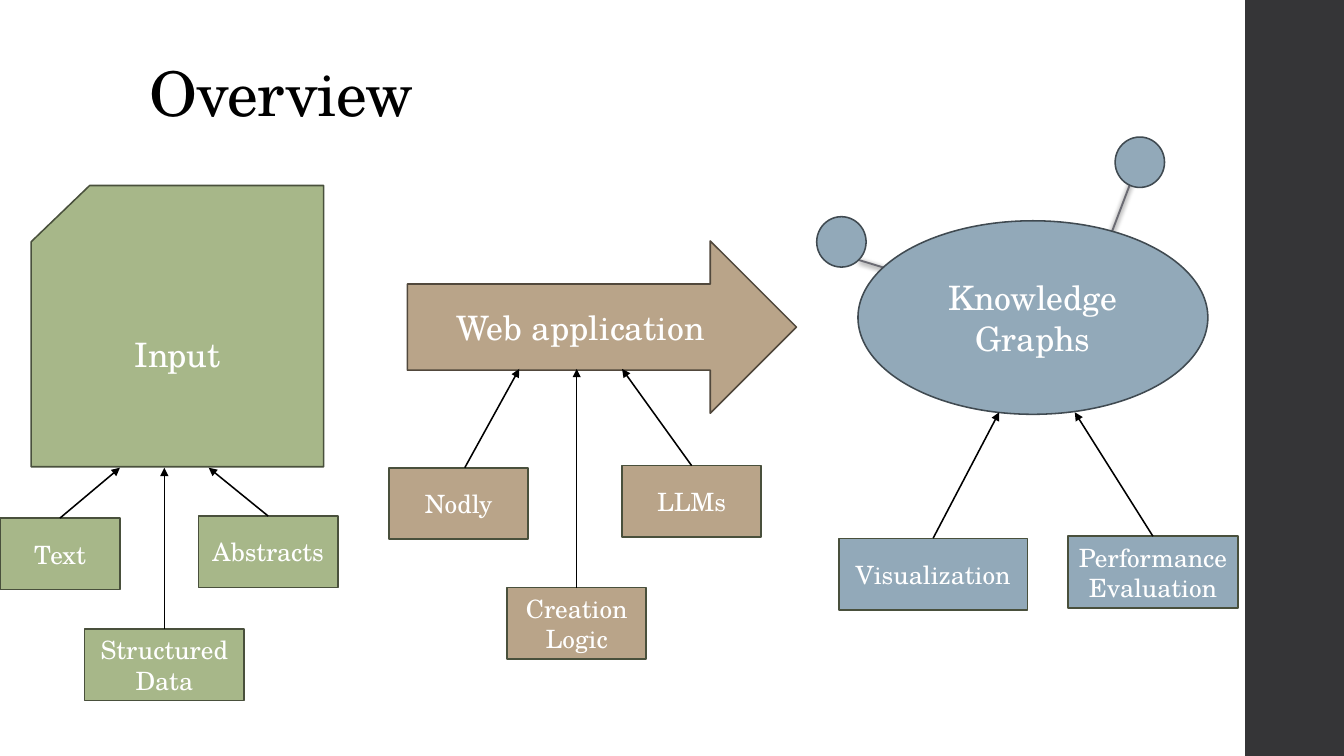
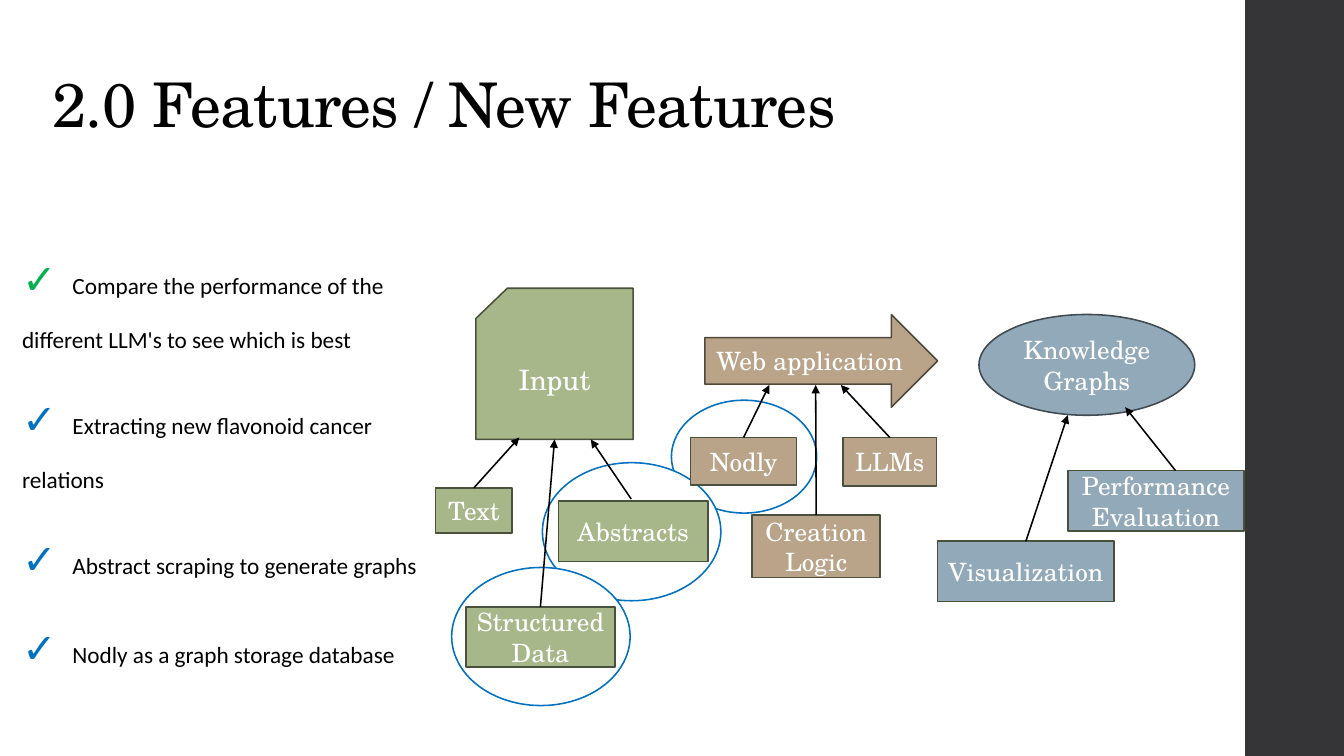
from dataclasses import dataclass
from typing import Optional

from lxml.etree import SubElement
from pptx import Presentation
from pptx.dml.color import RGBColor
from pptx.enum.shapes import MSO_CONNECTOR as CONN, MSO_SHAPE as SHAPE
from pptx.enum.text import MSO_ANCHOR as ANCHOR, PP_ALIGN as ALIGN
from pptx.oxml.ns import qn
from pptx.util import Inches, Pt

# Shared style
SERIF, SANS = "TeX Gyre Schola", "Calibri"
WHITE = RGBColor(0xFF, 0xFF, 0xFF)
BLACK = RGBColor(0x00, 0x00, 0x00)
BAND = RGBColor(0x35, 0x35, 0x37)
GREEN = RGBColor(0xA7, 0xB7, 0x89)
GREEN_EDGE = RGBColor(0x49, 0x50, 0x3C)
TAN = RGBColor(0xB9, 0xA4, 0x89)
TAN_EDGE = RGBColor(0x51, 0x48, 0x3C)
BLUE = RGBColor(0x92, 0xA9, 0xB9)
BLUE_EDGE = RGBColor(0x40, 0x4A, 0x51)
LINK_GREY = RGBColor(0x6B, 0x6B, 0x73)
RING_BLUE = RGBColor(0x00, 0x70, 0xC0)
TICK_GREEN = RGBColor(0x00, 0xB0, 0x50)
LINE_W = 1.1
BOX_PT = 18
TOP, BOTTOM = 0, 2  # connection sites

Point = tuple[float, float]
Area = tuple[float, float, float, float]


@dataclass
class Box:
    """A small box whose arrow points at its stage."""
    label: str
    area: Area
    tip: Optional[Point] = None    # None: middle of the stage's lower side
    start: Optional[Point] = None  # None: middle of the box's upper side


@dataclass
class Kind:
    shape: SHAPE
    label: str
    fill: RGBColor
    edge: RGBColor


@dataclass
class Stage:
    kind: Kind
    area: Area
    size: int
    boxes: list[Box]


INPUT = Kind(SHAPE.FLOWCHART_CARD, "Input", GREEN, GREEN_EDGE)
WEB_APP = Kind(SHAPE.RIGHT_ARROW, "Web application", TAN, TAN_EDGE)
GRAPHS = Kind(SHAPE.OVAL, "Knowledge Graphs", BLUE, BLUE_EDGE)

# Slide 1 content
OVERVIEW = [
    Stage(WEB_APP, (4.04, 2.39, 3.86, 1.71), 24, [
        Box("Nodly", (3.86, 4.64, 1.38, 0.71), (5.15, 3.66), (4.61, 4.64)),
        Box("LLMs", (6.17, 4.62, 1.38, 0.71), (6.17, 3.66)),
        Box("Creation Logic", (5.03, 5.83, 1.38, 0.71), (5.72, 3.66)),
    ]),
    Stage(INPUT, (0.31, 1.84, 2.9, 2.79), 24, [
        Box("Text", (0, 5.14, 1.19, 0.71), (1.19, 4.64)),
        Box("Abstracts", (1.97, 5.12, 1.38, 0.71), (2.07, 4.64)),
        Box("Structured Data", (0.84, 6.24, 1.58, 0.71), (1.63, 4.64)),
    ]),
    Stage(GRAPHS, (8.51, 2.19, 3.47, 1.92), 24, [
        Box("Visualization", (8.32, 5.34, 1.87, 0.71), (9.91, 4.09)),
        Box("Performance Evaluation", (10.59, 5.32, 1.69, 0.71), (10.66, 4.09)),
    ]),
]
GRAPH_LINKS = [((11.26, 1.69), (10.91, 2.61)), ((8.52, 2.58), (9.37, 2.84))]
GRAPH_NODES = [(8.1, 2.15), (11.06, 1.36)]

# Slide 2 content
FEATURES = [
    Stage(WEB_APP, (6.99, 3.12, 2.31, 0.92), 18, [
        Box("LLMs", (8.36, 4.34, 0.93, 0.48), (8.34, 3.82)),
        Box("Creation Logic", (7.46, 5.11, 1.27, 0.62), (8.09, 3.82)),
        Box("Nodly", (6.85, 4.34, 1.05, 0.47), (7.63, 3.82)),
    ]),
    Stage(INPUT, (4.72, 2.86, 1.56, 1.5), 20, [
        Box("Text", (4.32, 4.84, 0.76, 0.45), (5.15, 4.34)),
        Box("Structured Data", (4.62, 6.02, 1.48, 0.6)),
        Box("Abstracts", (5.54, 4.97, 1.48, 0.6), (5.86, 4.36), (6.26, 4.95)),
    ]),
    Stage(GRAPHS, (9.71, 3.12, 2.14, 1), 18, [
        Box("Visualization", (9.3, 5.37, 1.75, 0.6), (10.59, 4.12)),
        Box("Performance Evaluation", (10.59, 4.67, 1.75, 0.6),
            (11.16, 4.04), (11.66, 4.67)),
    ]),
]
RINGS = [(6.66, 3.97, 1.44, 1.12), (5.38, 4.59, 1.77, 1.37), (4.48, 5.63, 1.77, 1.37)]
CHECKLIST = [
    (TICK_GREEN, "Compare the performance of the different LLM's to see which is best"),
    (RING_BLUE, "Extracting new flavonoid cancer relations"),
    (RING_BLUE, "Abstract scraping to generate graphs"),
    (RING_BLUE, "Nodly as a graph storage database"),
]


def add_run(p, text: str, size: float, color: RGBColor, font: str = SERIF, bold: bool = False):
    r = p.add_run()
    r.text = text
    r.font.size, r.font.name, r.font.bold = Pt(size), font, bold
    r.font.color.rgb = color
    return r


def add_shape(s, kind: SHAPE, area: Area, fill: RGBColor, edge: Optional[RGBColor] = None,
              label: str = "", size: float = BOX_PT):
    sp = s.shapes.add_shape(kind, *map(Inches, area))
    sp.shadow.inherit = False
    sp.fill.solid()
    sp.fill.fore_color.rgb = fill
    if edge is None:
        sp.line.fill.background()
    else:
        sp.line.color.rgb = edge
        sp.line.width = Pt(LINE_W)
    if label:
        tf = sp.text_frame
        tf.word_wrap = True
        tf.vertical_anchor = ANCHOR.MIDDLE
        p = tf.paragraphs[0]
        p.alignment = ALIGN.CENTER
        add_run(p, label, size, WHITE)
    return sp


def add_line(s, start: Point, end: Point, color: RGBColor, width: float):
    """Add a straight line; return it with its empty effect list."""
    line = s.shapes.add_connector(CONN.STRAIGHT, *map(Inches, start + end))
    line.line.color.rgb = color
    line.line.width = Pt(width)
    return line, SubElement(line._element.spPr, qn("a:effectLst"))


def add_arrow(s, box: Box, box_sp, stage_sp) -> None:
    line, _ = add_line(s, box.start or (0, 0), box.tip or (0, 0), BLACK, LINE_W)
    if box.start is None:
        line.begin_connect(box_sp, TOP)
    if box.tip is None:
        line.end_connect(stage_sp, BOTTOM)
    SubElement(line.line._get_or_add_ln(), qn("a:tailEnd"), type="triangle")


def add_link(s, start: Point, end: Point) -> None:
    """Add a grey line with a soft shadow."""
    _, effects = add_line(s, start, end, LINK_GREY, 1.35)
    shadow = SubElement(effects, qn("a:outerShdw"), blurRad=str(Pt(4)),
                        dist=str(Pt(1.2)), dir="5400000", rotWithShape="0")
    color = SubElement(shadow, qn("a:srgbClr"), val=str(BLACK))
    SubElement(color, qn("a:alpha"), val="75000")


def add_stages(s, stages: list[Stage]) -> None:
    for stage in stages:
        kind = stage.kind
        stage_sp = add_shape(s, kind.shape, stage.area, kind.fill, kind.edge,
                             kind.label, stage.size)
        for box in stage.boxes:
            box_sp = add_shape(s, SHAPE.RECTANGLE, box.area, kind.fill, GREEN_EDGE, box.label)
            add_arrow(s, box, box_sp, stage_sp)


def add_text_box(s, area: Area):
    tf = s.shapes.add_textbox(*map(Inches, area)).text_frame
    tf.word_wrap = True
    return tf


def add_title(s, text: str, left: float, top: float) -> None:
    tf = add_text_box(s, (left, top, 10.6, 1.45))
    tf.vertical_anchor = ANCHOR.BOTTOM
    p = tf.paragraphs[0]
    p.line_spacing = 0.9
    r = add_run(p, text, 44, BLACK)
    r.font._element.set("spc", "-50")


def add_checklist(s, area: Area) -> None:
    tf = add_text_box(s, area)
    for i, (color, text) in enumerate(CHECKLIST):
        p = tf.add_paragraph() if i else tf.paragraphs[0]
        p.line_spacing = 1.8
        tabs = SubElement(p._p.get_or_add_pPr(), qn("a:tabLst"))
        SubElement(tabs, qn("a:tab"), pos=str(Inches(0.5)), algn="l")
        add_run(p, "✓", 29.6, color, SANS, bold=True)
        add_run(p, "\t" + text, 16.6, BLACK, SANS)


def new_slide(prs):
    s = prs.slides.add_slide(prs.slide_layouts[6])
    add_shape(s, SHAPE.RECTANGLE, (12.35, 0, 0.98, 7.5), BAND)
    return s


def build_overview(prs) -> None:
    s = new_slide(prs)
    for start, end in GRAPH_LINKS:
        add_link(s, start, end)
    add_title(s, "Overview", 1.38, -0.11)
    add_stages(s, OVERVIEW)
    for left, top in GRAPH_NODES:
        add_shape(s, SHAPE.OVAL, (left, top, 0.49, 0.5), BLUE, BLUE_EDGE)


def build_features(prs) -> None:
    s = new_slide(prs)
    for area in RINGS:
        add_shape(s, SHAPE.OVAL, area, WHITE, RING_BLUE)
    add_title(s, "2.0 Features / New Features", 0.42, 0)
    add_checklist(s, (0.12, 2.07, 4.39, 4.76))
    add_stages(s, FEATURES)


def main() -> None:
    prs = Presentation()
    prs.slide_width, prs.slide_height = Inches(13.33), Inches(7.5)
    build_overview(prs)
    build_features(prs)
    prs.save("out.pptx")


if __name__ == "__main__":
    main()
